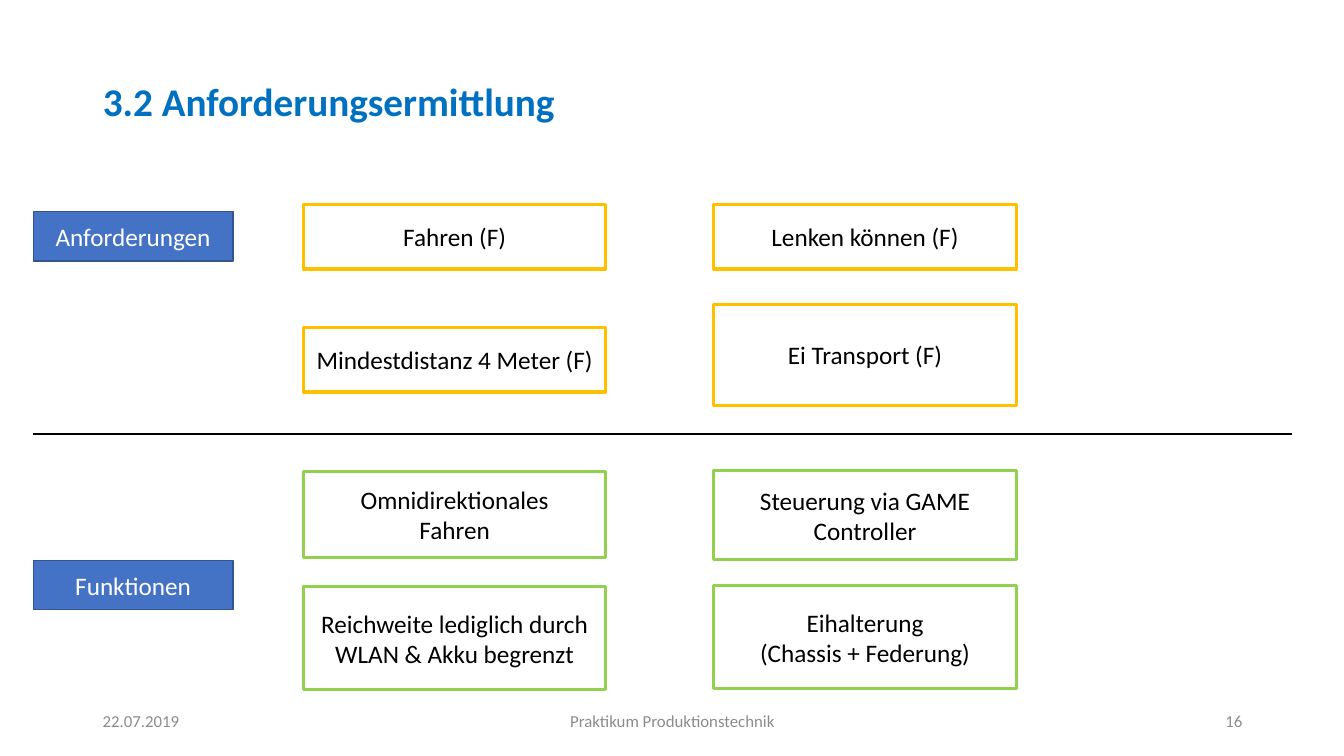
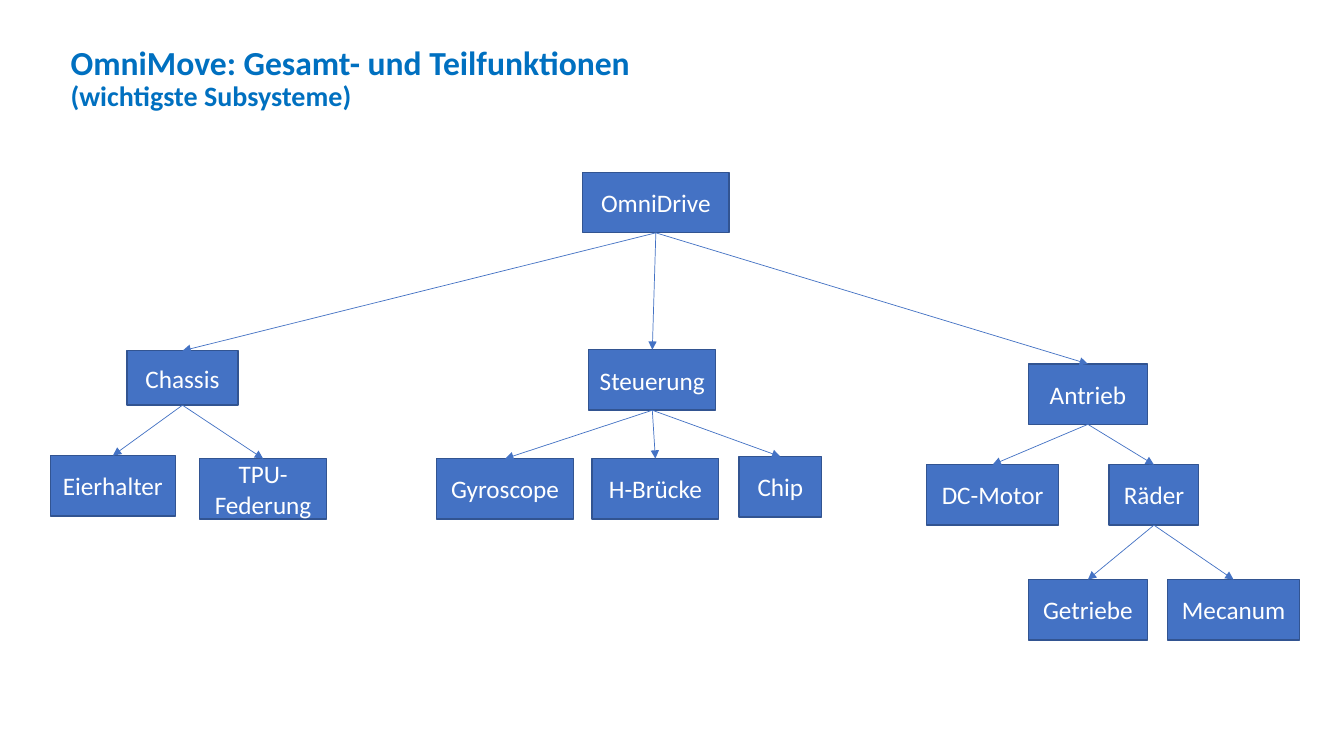
from dataclasses import dataclass
from typing import Any

from lxml import etree
from pptx import Presentation
from pptx.dml.color import RGBColor
from pptx.enum.shapes import MSO_CONNECTOR, MSO_SHAPE
from pptx.enum.text import MSO_ANCHOR, MSO_AUTO_SIZE, PP_ALIGN
from pptx.oxml.ns import qn
from pptx.util import Inches, Pt

RECTANGLE = MSO_SHAPE.RECTANGLE
STRAIGHT = MSO_CONNECTOR.STRAIGHT
MIDDLE = MSO_ANCHOR.MIDDLE
NO_AUTOFIT = MSO_AUTO_SIZE.NONE
LEFT, CENTER, RIGHT = PP_ALIGN.LEFT, PP_ALIGN.CENTER, PP_ALIGN.RIGHT

FONT = "Calibri"
WHITE, BLACK, GRAY = "FFFFFF", "000000", "8C8C8C"
TITLE_BLUE, BLUE, DARK_BLUE = "0070C0", "4472C4", "325491"
YELLOW, GREEN = "FFC000", "92D050"
TITLE_ONLY = 5
TOP_SITE, BOTTOM_SITE = 0, 2
TEXT_FRAME_FORMAT = {
    "word_wrap": True,
    "auto_size": NO_AUTOFIT,
    "vertical_anchor": MIDDLE,
}


@dataclass(frozen=True)
class BoxStyle:
    fill: str
    line: str
    line_width: float
    text: str


@dataclass(frozen=True)
class Box:
    text: str
    left: float
    top: float
    width: float
    height: float


@dataclass(frozen=True)
class Node:
    box: Box
    parent: str = ""


@dataclass(frozen=True)
class FooterItem:
    box: Box
    alignment: Any


SOLID = BoxStyle(BLUE, DARK_BLUE, 1, WHITE)
REQUIREMENT = BoxStyle(WHITE, YELLOW, 2.25, BLACK)
FUNCTION = BoxStyle(WHITE, GREEN, 2.25, BLACK)

FIRST_COLUMN, SECOND_COLUMN, COLUMN_WIDTH = 3.01, 7.08, 3
LABEL_LEFT, LABEL_WIDTH, LABEL_HEIGHT = 0.33, 1.98, 0.49
NODE_HEIGHT = 0.6

LABELS = [
    Box(text, LABEL_LEFT, top, LABEL_WIDTH, LABEL_HEIGHT)
    for text, top in [("Anforderungen", 2.1), ("Funktionen", 5.56)]
]
REQUIREMENTS = [
    Box("Fahren (F)", FIRST_COLUMN, 2.03, COLUMN_WIDTH, 0.64),
    Box("Lenken können (F)", SECOND_COLUMN, 2.03, COLUMN_WIDTH, 0.64),
    Box("Mindestdistanz 4 Meter (F)", FIRST_COLUMN, 3.25, COLUMN_WIDTH, 0.64),
    Box("Ei Transport (F)", SECOND_COLUMN, 3.02, COLUMN_WIDTH, 1),
]
FUNCTIONS = [
    Box("Omnidirektionales\vFahren", FIRST_COLUMN, 4.68, COLUMN_WIDTH, 0.85),
    Box("Steuerung via GAME Controller", SECOND_COLUMN, 4.67, COLUMN_WIDTH, 0.88),
    Box("Reichweite lediglich durch WLAN & Akku begrenzt",
        FIRST_COLUMN, 5.82, COLUMN_WIDTH, 1.02),
    Box("Eihalterung\v(Chassis + Federung)",
        SECOND_COLUMN, 5.81, COLUMN_WIDTH, 1.02),
]
FOOTER = [
    FooterItem(Box("22.07.2019", 0.92, 6.95, 3, 0.4), LEFT),
    FooterItem(Box("Praktikum Produktionstechnik", 3.35, 6.95, 6.64, 0.4), CENTER),
    FooterItem(Box("16", 9.42, 6.95, 3, 0.4), RIGHT),
]
NODES = [
    Node(Box("OmniDrive", 5.78, 1.71, 1.45, NODE_HEIGHT)),
    Node(Box("Chassis", 1.26, 3.48, 1.1, 0.54), "OmniDrive"),
    Node(Box("Steuerung", 5.84, 3.47, 1.26, NODE_HEIGHT), "OmniDrive"),
    Node(Box("Antrieb", 10.2, 3.61, 1.18, NODE_HEIGHT), "OmniDrive"),
    Node(Box("Eierhalter", 0.5, 4.52, 1.24, NODE_HEIGHT), "Chassis"),
    Node(Box("TPU- Federung", 1.98, 4.55, 1.26, NODE_HEIGHT), "Chassis"),
    Node(Box("Gyroscope", 4.33, 4.55, 1.36, NODE_HEIGHT), "Steuerung"),
    Node(Box("H-Brücke", 5.87, 4.55, 1.26, NODE_HEIGHT), "Steuerung"),
    Node(Box("Chip", 7.33, 4.53, 0.82, NODE_HEIGHT), "Steuerung"),
    Node(Box("DC-Motor", 9.19, 4.61, 1.31, NODE_HEIGHT), "Antrieb"),
    Node(Box("Räder", 11, 4.61, 0.89, NODE_HEIGHT), "Antrieb"),
    Node(Box("Getriebe", 10.2, 5.75, 1.18, NODE_HEIGHT), "Räder"),
    Node(Box("Mecanum", 11.58, 5.75, 1.31, NODE_HEIGHT), "Räder"),
]


def color(value: str) -> RGBColor:
    return RGBColor.from_string(value)


def apply_format(target: Any, values: dict[str, Any]) -> None:
    for name, value in values.items():
        setattr(target, name, value)


def format_font(font: Any, size: float, text_color: str, bold: bool = False) -> None:
    apply_format(font, {"name": FONT, "size": Pt(size), "bold": bold})
    font.color.rgb = color(text_color)


def bounds(box: Box) -> tuple[Any, ...]:
    return tuple(map(Inches, (box.left, box.top, box.width, box.height)))


def write_text(
    shape: Any, text: str, size: float, text_color: str, alignment: Any
) -> None:
    apply_format(shape.text_frame, TEXT_FRAME_FORMAT)
    shape.text_frame.text = text
    paragraph = shape.text_frame.paragraphs[0]
    paragraph.alignment = alignment
    for run in paragraph.runs:
        format_font(run.font, size, text_color)


def add_title_slide(
    presentation: Any, position: Box, parts: list[tuple[str, float]]
) -> Any:
    slide = presentation.slides.add_slide(presentation.slide_layouts[TITLE_ONLY])
    title = slide.shapes.title
    left, top, width, height = bounds(position)
    apply_format(title, {"left": left, "top": top, "width": width, "height": height})
    apply_format(title.text_frame, TEXT_FRAME_FORMAT)
    paragraph = title.text_frame.paragraphs[0]
    apply_format(paragraph, {"alignment": LEFT, "line_spacing": 0.9})
    for text, size in parts:
        run = paragraph.add_run()
        run.text = text
        format_font(run.font, size, TITLE_BLUE, bold=True)
    return slide


def add_box(slide: Any, box: Box, style: BoxStyle) -> Any:
    shape = slide.shapes.add_shape(RECTANGLE, *bounds(box))
    shape.shadow.inherit = False
    shape.fill.solid()
    shape.fill.fore_color.rgb = color(style.fill)
    shape.line.color.rgb = color(style.line)
    shape.line.width = Pt(style.line_width)
    write_text(shape, box.text, 18, style.text, CENTER)
    return shape


def add_line(
    slide: Any, points: tuple[float, float, float, float], line_color: str, width: float
) -> Any:
    connector = slide.shapes.add_connector(STRAIGHT, *map(Inches, points))
    connector.line.color.rgb = color(line_color)
    connector.line.width = Pt(width)
    etree.SubElement(connector._element.spPr, qn("a:effectLst"))
    return connector


def add_arrow(slide: Any, parent: Any, child: Any) -> None:
    connector = add_line(slide, (0, 0, 0, 0), BLUE, 0.5)
    connector.begin_connect(parent, BOTTOM_SITE)
    connector.end_connect(child, TOP_SITE)
    line = connector.line._get_or_add_ln()
    etree.SubElement(line, qn("a:tailEnd"), type="triangle")


def add_footer(slide: Any) -> None:
    for item in FOOTER:
        shape = slide.shapes.add_textbox(*bounds(item.box))
        write_text(shape, item.box.text, 12, GRAY, item.alignment)


def build_requirements(presentation: Any) -> None:
    slide = add_title_slide(
        presentation,
        Box("", 0.92, 0.3, 11.5, 1.45),
        [("3.2 Anforderungsermittlung", 28)],
    )
    add_footer(slide)
    groups = [(LABELS, SOLID), (REQUIREMENTS, REQUIREMENT), (FUNCTIONS, FUNCTION)]
    for boxes, style in groups:
        for box in boxes:
            add_box(slide, box, style)
    add_line(slide, (LABEL_LEFT, 4.31, 12.81, 4.31), BLACK, 1.5)


def build_function_tree(presentation: Any) -> None:
    slide = add_title_slide(
        presentation,
        Box("", 0.6, 0.31, 5.75, 0.96),
        [
            ("OmniMove: Gesamt- und Teilfunktionen ", 24),
            ("(wichtigste Subsysteme)", 20),
        ],
    )
    shapes = {node.box.text: add_box(slide, node.box, SOLID) for node in NODES}
    for node in NODES:
        if node.parent:
            add_arrow(slide, shapes[node.parent], shapes[node.box.text])


def main() -> None:
    presentation = Presentation()
    apply_format(
        presentation, {"slide_width": Inches(13.33), "slide_height": Inches(7.5)}
    )
    build_requirements(presentation)
    build_function_tree(presentation)
    presentation.save("out.pptx")


if __name__ == "__main__":
    main()
